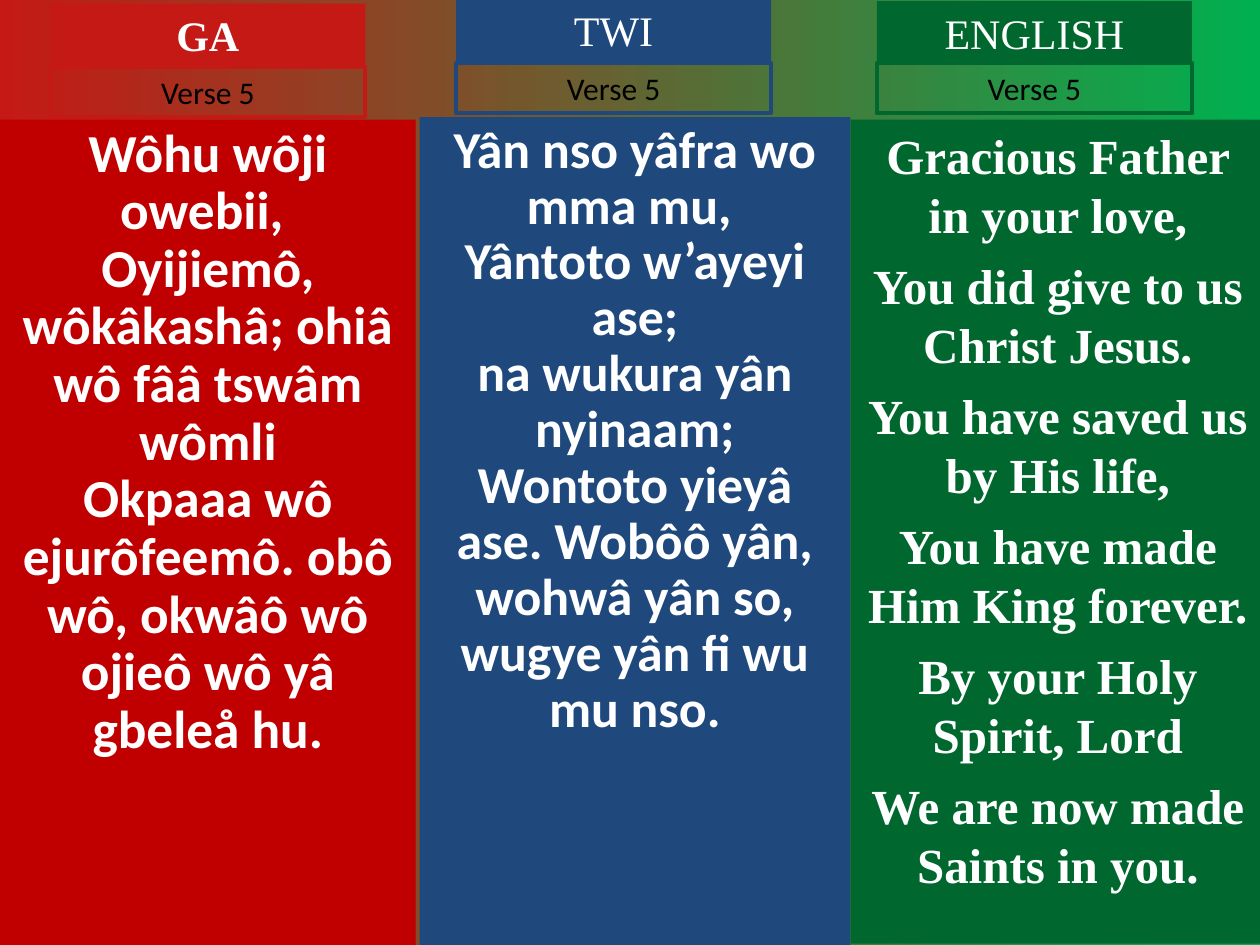
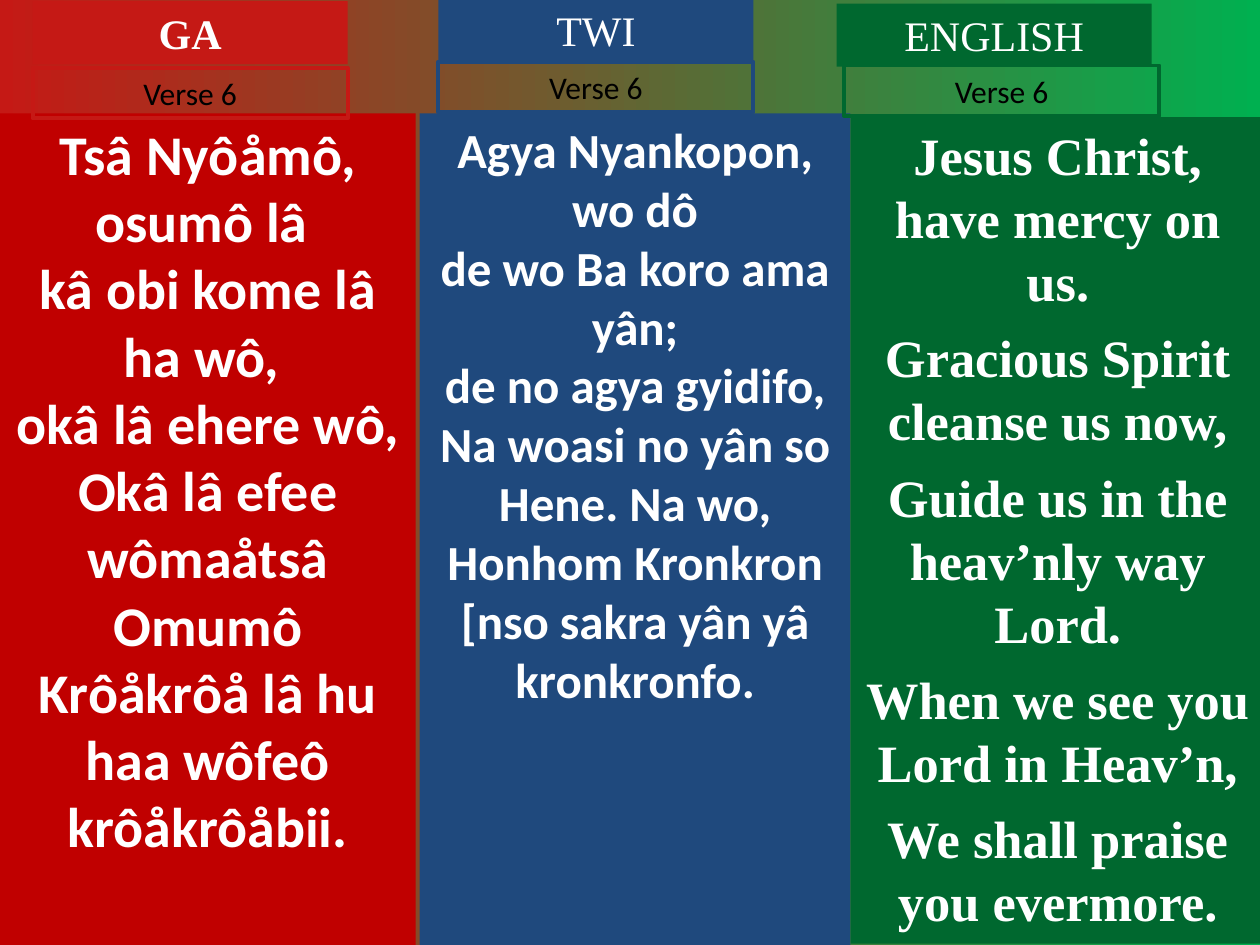
from pptx import Presentation
from pptx import util as u
from pptx.dml.color import RGBColor
from pptx.enum import shapes, text

COLOURS = {
    "ga_head": "C51915", "ga_panel": "C00000", "twi": "1F497D", "english": "00682F",
    "band_start": "C51915", "band_end": "00B050", "white": "FFFFFF", "black": "000000",
}
SANS, SERIF = "Calibri", "Times New Roman"
LABEL_WIDTH, HEAD_HEIGHT, VERSE_HEIGHT = 2.5, 0.5, 0.4

# What each language column keeps on every slide
LANGUAGES = {
    "GA": dict(left=0, width=3.3, bottom=7.5, head="ga_head", panel="ga_panel",
               font=SANS, head_bold=True),
    "TWI": dict(left=3.33, width=3.42, bottom=7.5, head="twi", panel="twi",
                font=SANS, head_bold=False),
    "ENGLISH": dict(left=6.75, width=3.29, bottom=7.49, head="english", panel="english",
                    font=SERIF, head_bold=False),
}

# Label places are (left, top): left from the column's edge, top from the slide's
VERSES = {
    "Verse 5": {
        "GA": dict(
            top=0.95, head_at=(0.4, 0.03), verse_at=(0.4, 0.53), size=30.5, spacing=0.9,
            lines=["Wôhu wôji owebii, ",
                   "Oyijiemô, wôkâkashâ; ohiâ wô fââ tswâm wômli",
                   "Okpaaa wô ejurôfeemô. obô wô, okwâô wô ojieô wô yâ gbeleå hu."]),
        "TWI": dict(
            top=0.93, head_at=(0.29, -0.01), verse_at=(0.29, 0.5), size=29.6, spacing=0.9,
            lines=["Yân nso yâfra wo mma mu, ",
                   "Yântoto w’ayeyi ase;",
                   "na wukura yân nyinaam;",
                   "Wontoto yieyâ ase. Wobôô yân, wohwâ yân so,",
                   "wugye yân fi wu mu nso."]),
        "ENGLISH": dict(
            top=0.95, head_at=(0.21, 0.01), verse_at=(0.21, 0.5), size=28, before=7,
            lines=["Gracious Father in your love,",
                   "You did give to us Christ Jesus.",
                   "You have saved us by His life,",
                   "You have made Him King forever.",
                   "By your Holy Spirit, Lord",
                   "We are now made Saints in you."]),
    },
    "Verse 6": {
        "GA": dict(
            top=0.9, head_at=(0.26, 0.01), verse_at=(0.26, 0.54), size=32,
            lines=["Tsâ Nyôåmô, osumô lâ ",
                   "kâ obi kome lâ ha wô, ",
                   "okâ lâ ehere wô,",
                   "Okâ lâ efee wômaåtsâ Omumô Krôåkrôå lâ hu haa wôfeô krôåkrôåbii."]),
        "TWI": dict(
            top=0.9, head_at=(0.15, -0.01), verse_at=(0.15, 0.49), size=28,
            lines=["Agya Nyankopon, wo dô",
                   "de wo Ba koro ama yân;",
                   "de no agya gyidifo,",
                   "Na woasi no yân so Hene. Na wo, Honhom Kronkron "
                   "[nso sakra yân yâ kronkronfo."]),
        "ENGLISH": dict(
            top=0.93, head_at=(-0.11, 0.03), verse_at=(-0.05, 0.52), size=30, before=7.5,
            lines=["Jesus Christ, have mercy on us.",
                   "Gracious Spirit cleanse us now,",
                   "Guide us in the heav’nly way Lord.",
                   "When we see you Lord in Heav’n,",
                   "We shall praise you evermore."]),
    },
}


def colour(name):
    return RGBColor.from_string(COLOURS[name])


def add_box(page, left, top, width, height, fill=None, line=None):
    box = page.shapes.add_shape(shapes.MSO_SHAPE.RECTANGLE,
                                *map(u.Inches, (left, top, width, height)))
    box.shadow.inherit = False
    if fill:
        box.fill.solid()
        box.fill.fore_color.rgb = colour(fill)
    else:
        box.fill.background()
    if line:
        box.line.color.rgb = colour(line)
        box.line.width = u.Pt(2.25)
    else:
        box.line.fill.background()
    return box


def write(box, lines, font=SANS, size=18, tint="white", bold=False, spacing=1.0, before=0):
    frame = box.text_frame
    frame.word_wrap = True
    frame.vertical_anchor = text.MSO_ANCHOR.TOP
    for index, line in enumerate(lines):
        para = frame.add_paragraph() if index else frame.paragraphs[0]
        para.alignment = text.PP_ALIGN.CENTER
        para.line_spacing = spacing
        para.space_before = u.Pt(before if index else 0)
        span = para.add_run()
        span.text = line
        span.font.name, span.font.size, span.font.bold = font, u.Pt(size), bold
        span.font.color.rgb = colour(tint)


def add_column(page, name, verse, top, head_at, verse_at, lines, **style):
    language = LANGUAGES[name]
    left = language["left"]

    # Lyrics panel
    panel = add_box(page, left, top, language["width"], language["bottom"] - top,
                    fill=language["panel"])
    write(panel, lines, font=language["font"], bold=True, **style)

    # Language heading
    head = add_box(page, left + head_at[0], head_at[1], LABEL_WIDTH, HEAD_HEIGHT,
                   fill=language["head"])
    write(head, [name], font=SERIF, size=24, bold=language["head_bold"])

    # Verse number
    label = add_box(page, left + verse_at[0], verse_at[1], LABEL_WIDTH, VERSE_HEIGHT,
                    line=language["head"])
    write(label, [verse], tint="black")


def set_background(master):
    fill = master.background.fill
    fill.gradient()
    fill.gradient_angle = 0
    for stop, name in zip(fill.gradient_stops, ("band_start", "band_end")):
        stop.color.rgb = colour(name)


def add_verse_slide(deck, verse, columns):
    page = deck.slides.add_slide(deck.slide_layouts[6])
    for name, column in columns.items():
        add_column(page, name, verse, **column)


def main():
    deck = Presentation()
    deck.slide_width, deck.slide_height = u.Inches(10), u.Inches(7.5)
    set_background(deck.slide_master)
    for verse, columns in VERSES.items():
        add_verse_slide(deck, verse, columns)
    deck.save("out.pptx")


if __name__ == "__main__":
    main()
